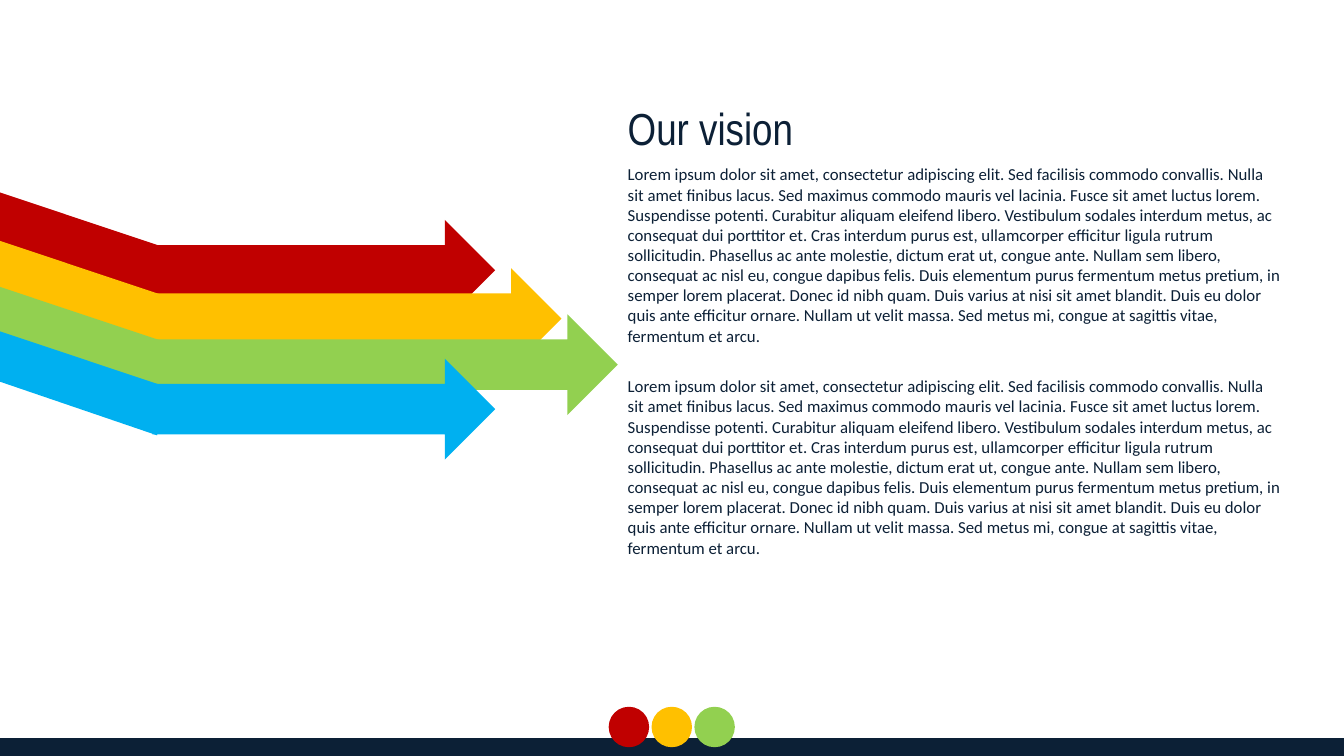
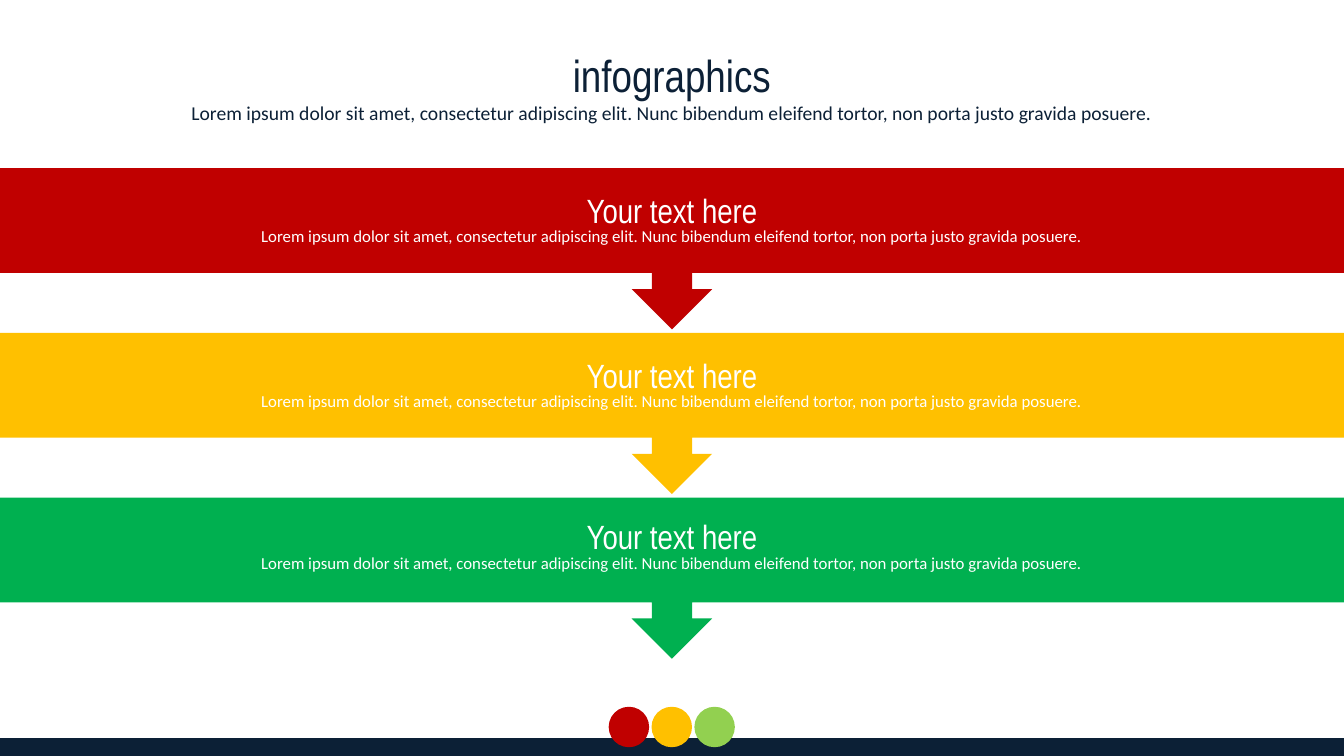
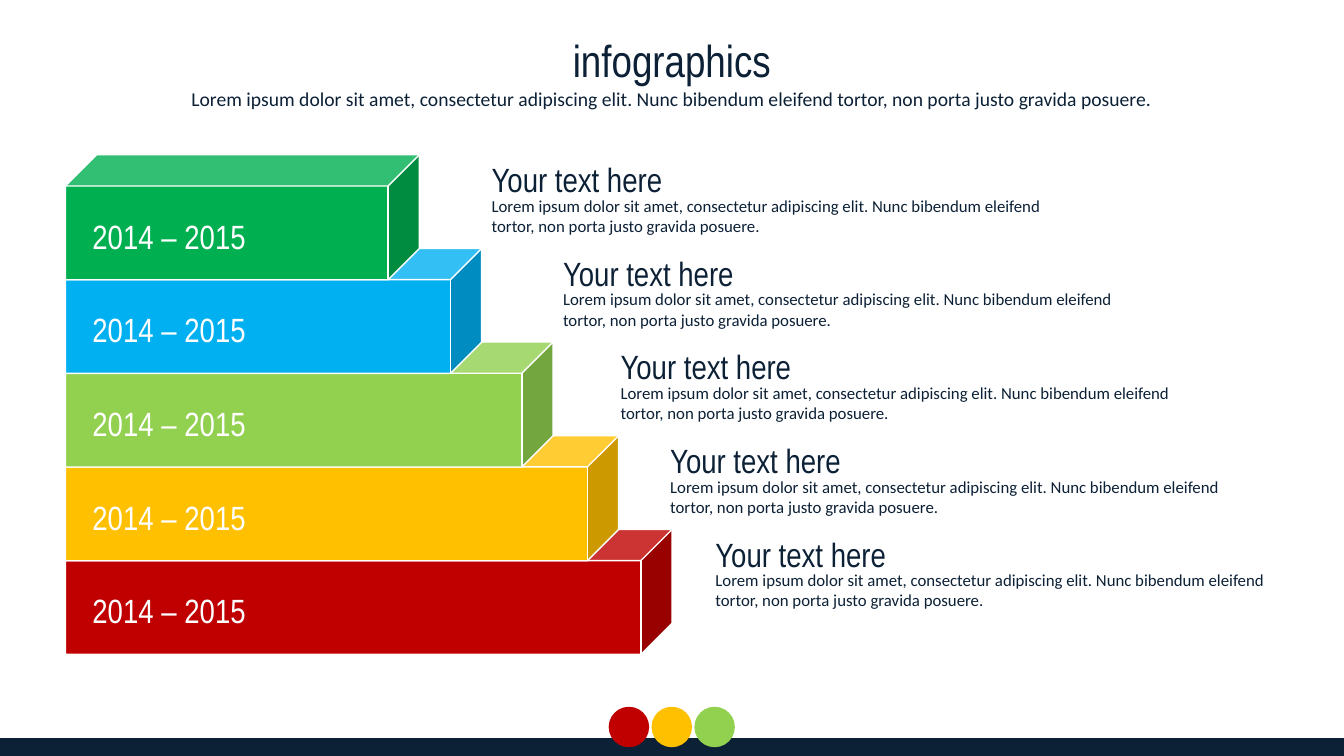
from typing import NamedTuple, Optional

import pptx
import pptx.dml.color
import pptx.enum.shapes
import pptx.enum.text
import pptx.util

Cm = pptx.util.Cm
RGBColor = pptx.dml.color.RGBColor
SHAPE = pptx.enum.shapes.MSO_SHAPE
ALIGN = pptx.enum.text.PP_ALIGN

NAVY = RGBColor(0x0C, 0x20, 0x36)
WHITE = RGBColor(0xFF, 0xFF, 0xFF)
RED = RGBColor(0xC0, 0x00, 0x00)
AMBER = RGBColor(0xFF, 0xC0, 0x00)
LIME = RGBColor(0x92, 0xD0, 0x50)
GREEN = RGBColor(0x00, 0xB0, 0x50)
BLUE = RGBColor(0x00, 0xB0, 0xF0)

SLIDE_W, SLIDE_H = 33.87, 19.05
LOREM = "Lorem ipsum dolor sit amet, consectetur adipiscing elit. "
SHORT_TEXT = LOREM + "Nunc bibendum eleifend tortor, non porta justo gravida posuere."
LONG_TEXT = LOREM + (
    "Sed facilisis commodo convallis. Nulla sit amet finibus lacus. "
    "Sed maximus commodo mauris vel lacinia. Fusce sit amet luctus lorem. "
    "Suspendisse potenti. Curabitur aliquam eleifend libero. "
    "Vestibulum sodales interdum metus, ac consequat dui porttitor et. "
    "Cras interdum purus est, ullamcorper efficitur ligula rutrum sollicitudin. "
    "Phasellus ac ante molestie, dictum erat ut, congue ante. "
    "Nullam sem libero, consequat ac nisl eu, congue dapibus felis. "
    "Duis elementum purus fermentum metus pretium, in semper lorem placerat. "
    "Donec id nibh quam. Duis varius at nisi sit amet blandit. "
    "Duis eu dolor quis ante efficitur ornare. Nullam ut velit massa. "
    "Sed metus mi, congue at sagittis vitae, fermentum et arcu."
)


class Box(NamedTuple):
    """Left, top, width and height in centimetres."""
    left: float
    top: float
    width: float
    height: float

    def emu(self) -> list:
        return [Cm(v) for v in self]


class TextStyle(NamedTuple):
    font: str
    size: int
    color: RGBColor = NAVY
    align: ALIGN = ALIGN.LEFT
    spacing: Optional[float] = None


TITLE = TextStyle("Arial Narrow", 32)
SUBTITLE = TextStyle("Calibri", 14, align=ALIGN.CENTER, spacing=1.5)
HEADING = TextStyle("Arial Narrow", 24)
BODY = TextStyle("Calibri", 12)


class BentArrow(NamedTuple):
    color: RGBColor
    top: float
    width: float


class Step(NamedTuple):
    color: RGBColor
    caption_top: float


class Stair(NamedTuple):
    color: RGBColor
    width: float
    caption_left: float


BENT_ARROWS = [
    BentArrow(RED, 5.54, 8.64),
    BentArrow(AMBER, 6.76, 10.31),
    BentArrow(LIME, 7.92, 11.73),
    BentArrow(BLUE, 9.04, 8.64),
]
# Corners of an arrow's slanted tail, measured from the top of the arrow
TAIL = [(0, -0.69), (4.19, 0.71), (3.96, 1.93), (0, 0.58)]

STEPS = [Step(RED, 4.65), Step(AMBER, 8.81), Step(GREEN, 12.88)]
STEP_TOP, STEP_PITCH = 4.24, 4.15

STAIRS = [
    Stair(GREEN, 8.92, 12.14),
    Stair(BLUE, 10.49, 13.94),
    Stair(LIME, 12.29, 15.39),
    Stair(AMBER, 13.94, 16.64),
    Stair(RED, 15.29, 17.78),
]
STAIR_TOP, STAIR_PITCH = 3.9, 2.36


def paint(sp, fill: RGBColor, line: Optional[RGBColor] = None) -> None:
    sp.shadow.inherit = False
    sp.fill.solid()
    sp.fill.fore_color.rgb = fill
    if line is None:
        sp.line.fill.background()
    else:
        sp.line.color.rgb = line
        sp.line.width = pptx.util.Pt(1)


def add_shape(s, kind: SHAPE, box: Box, fill: RGBColor,
              line: Optional[RGBColor] = None) -> None:
    paint(s.shapes.add_shape(kind, *box.emu()), fill, line)


def add_text(s, text: str, box: Box, style: TextStyle) -> None:
    tf = s.shapes.add_textbox(*box.emu()).text_frame
    tf.word_wrap = True
    tf.auto_size = pptx.enum.text.MSO_AUTO_SIZE.SHAPE_TO_FIT_TEXT
    tf.text = text
    p = tf.paragraphs[0]
    p.alignment = style.align
    if style.spacing:
        p.line_spacing = style.spacing
    font = p.runs[0].font
    font.name = style.font
    font.size = pptx.util.Pt(style.size)
    font.color.rgb = style.color


def add_caption(s, left: float, top: float, heading_w: float, body: Box,
                color: RGBColor, align: ALIGN) -> None:
    """A heading with a short text; body is placed relative to the heading."""
    add_text(s, SHORT_TEXT,
             body._replace(left=left + body.left, top=top + body.top),
             BODY._replace(color=color, align=align))
    add_text(s, "Your text here", Box(left, top, heading_w, 1.27),
             HEADING._replace(color=color, align=align))


def new_slide(prs):
    """A blank slide with the footer bar and its three dots."""
    s = prs.slides.add_slide(prs.slide_layouts[6])
    add_shape(s, SHAPE.RECTANGLE, Box(0, 18.6, SLIDE_W, 0.45), NAVY)
    for i, color in enumerate([RED, AMBER, LIME]):
        add_shape(s, SHAPE.OVAL, Box(15.34 + 1.08 * i, 17.81, 1.02, 1.02), color)
    return s


def add_title_block(s, top: float) -> None:
    add_text(s, SHORT_TEXT, Box(0, top + 1.05, SLIDE_W, 1.07), SUBTITLE)
    add_text(s, "infographics", Box(0, top, SLIDE_W, 1.63),
             TITLE._replace(align=ALIGN.CENTER))


def add_bent_arrow(s, arrow: BentArrow) -> None:
    add_shape(s, SHAPE.RIGHT_ARROW, Box(3.84, arrow.top, arrow.width, 2.54),
              arrow.color)
    start, *rest = [(Cm(x), Cm(arrow.top + y)) for x, y in TAIL]
    outline = s.shapes.build_freeform(*start, scale=1.0)
    outline.add_line_segments(rest, close=True)
    paint(outline.convert_to_shape(), arrow.color)


def build_vision(prs) -> None:
    s = new_slide(prs)
    add_text(s, "Our vision", Box(15.57, 2.41, 18.67, 1.63), TITLE)
    for top in (4.01, 9.35):
        add_text(s, LONG_TEXT, Box(15.57, top, 16.97, 4.88), BODY)
    for arrow in BENT_ARROWS:
        add_bent_arrow(s, arrow)


def build_steps(prs) -> None:
    s = new_slide(prs)
    add_title_block(s, 1.07)
    for i, step in enumerate(STEPS):
        add_shape(s, SHAPE.DOWN_ARROW_CALLOUT,
                  Box(0, STEP_TOP + STEP_PITCH * i, SLIDE_W, 4.06), step.color)
        add_caption(s, 0, step.caption_top, SLIDE_W,
                    Box(0, 0.92, SLIDE_W, 0.76), WHITE, ALIGN.CENTER)


def build_stairs(prs) -> None:
    s = new_slide(prs)
    add_title_block(s, 0.71)
    # From the bottom up, so that each stair stands on the one below
    for i, stair in reversed(list(enumerate(STAIRS))):
        top = STAIR_TOP + STAIR_PITCH * i
        add_shape(s, SHAPE.CUBE, Box(1.65, top, stair.width, 3.15),
                  stair.color, WHITE)
        add_caption(s, stair.caption_left, top - 0.02, 8.05,
                    Box(0, 0.92, 14.63, 1.27), NAVY, ALIGN.LEFT)
        add_text(s, "2014 – 2015", Box(2.08, top + 1.41, 8.05, 1.27),
                 HEADING._replace(color=WHITE))


def main() -> None:
    prs = pptx.Presentation()
    prs.slide_width, prs.slide_height = Cm(SLIDE_W), Cm(SLIDE_H)
    build_vision(prs)
    build_steps(prs)
    build_stairs(prs)
    prs.save("out.pptx")


if __name__ == "__main__":
    main()
